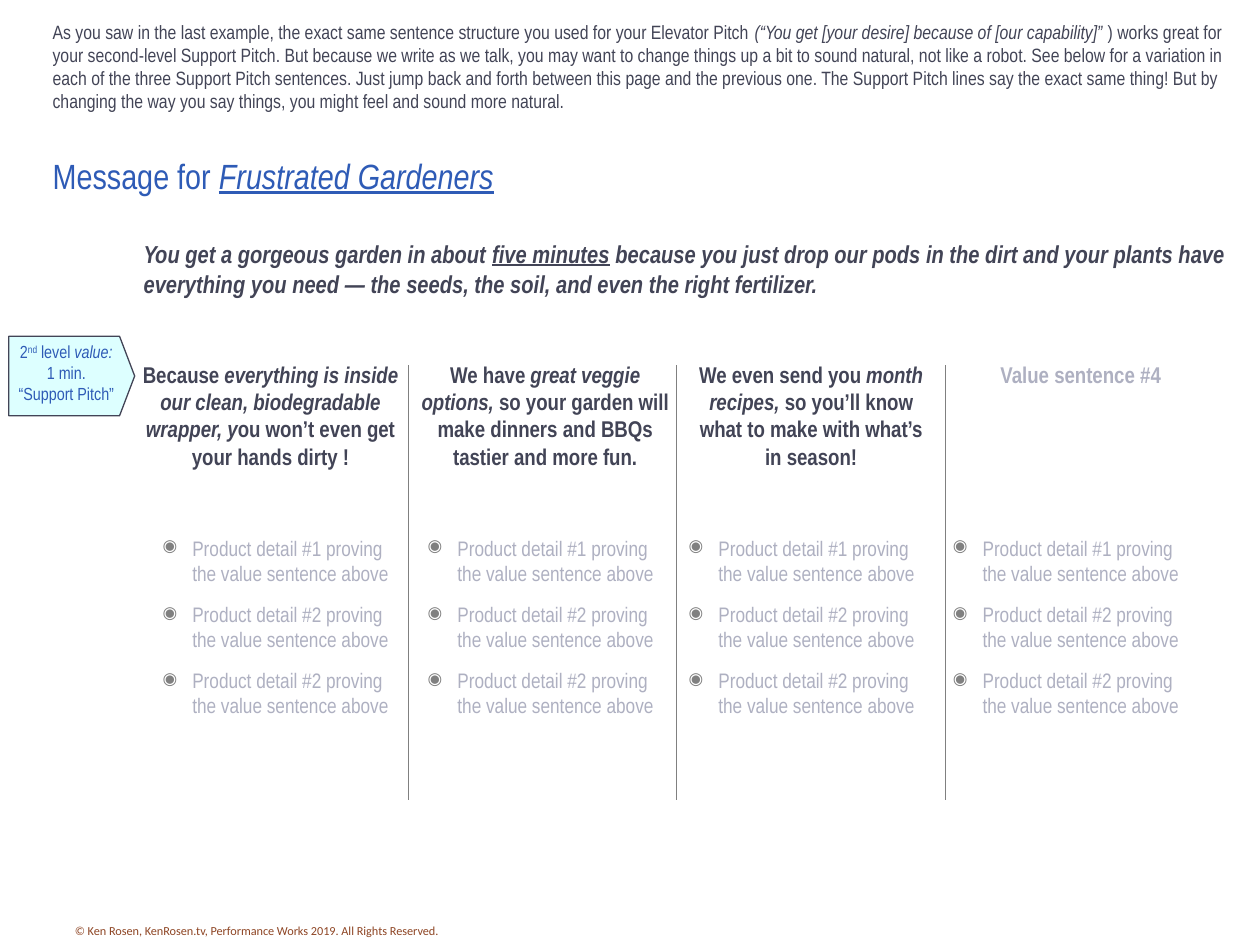
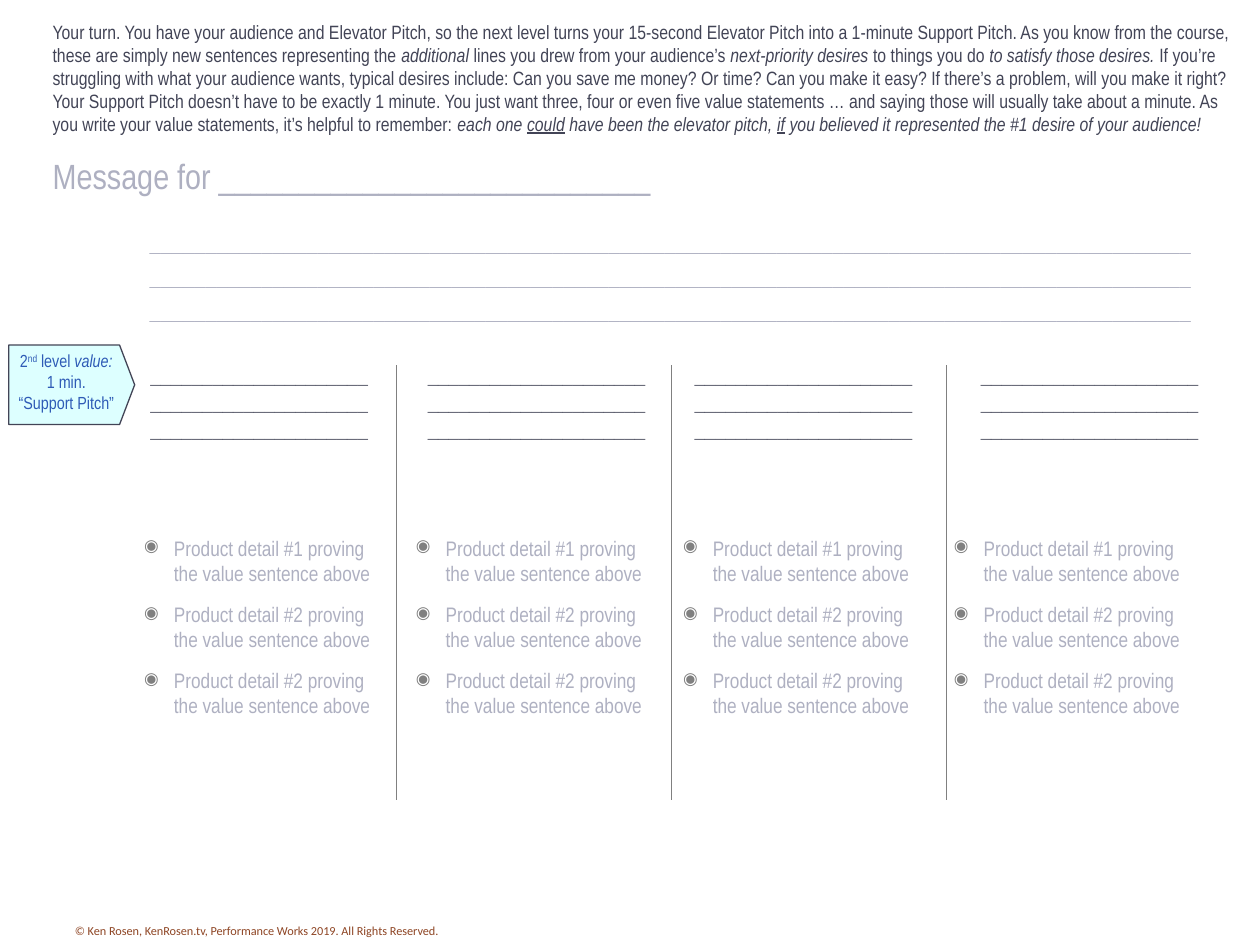
from lxml.etree import SubElement
from pptx import Presentation
from pptx.dml.color import RGBColor
from pptx.enum.shapes import MSO_CONNECTOR as Connector, MSO_SHAPE as Shape
from pptx.enum.text import MSO_ANCHOR as Anchor, MSO_AUTO_SIZE as AutoSize, PP_ALIGN as Align
from pptx.oxml.ns import qn
from pptx.util import Pt

# Colours
INK = RGBColor(0x42, 0x44, 0x56)
BLUE = RGBColor(0x2E, 0x5B, 0xB6)
PALE = RGBColor(0xAE, 0xB0, 0xC1)
GREY = RGBColor(0x80, 0x80, 0x80)
RUST = RGBColor(0x8E, 0x45, 0x24)
AQUA = RGBColor(0xDD, 0xFF, 0xFF)

# Font formats
NARROW = "Arial Narrow"
INTRO = {"name": NARROW, "size": Pt(11), "color": INK}
TITLE = {"name": NARROW, "size": Pt(20), "color": BLUE}
PITCH = {"name": NARROW, "size": Pt(14), "color": INK, "bold": True, "italic": True}
VALUE = {"name": NARROW, "size": Pt(13), "color": INK, "bold": True}
DETAIL = {"name": NARROW, "size": Pt(12), "color": PALE}
TAG = {"name": NARROW, "size": Pt(10), "color": BLUE}
FOOTER = {"name": "Calibri", "size": Pt(7), "color": RUST}

ITALIC = {"italic": True}
UNDERLINE = {"underline": True}
RAISED = {"raised": True}

# Shared wording
COPYRIGHT = "© Ken Rosen, KenRosen.tv, Performance Works 2019. All Rights Reserved."
TAG_LINES = [
    ["2", ("nd", RAISED), " level ", ("value:", ITALIC)],
    ["1 min."],
    ["“Support Pitch”"],
]
DETAIL_LINES = [[f"Product detail #{number} proving the value sentence above"]
                for number in (1, 2, 2)]

# Example page
EXAMPLE_INTRO = [
    "As you saw in the last example, the exact same sentence structure you used for your "
    "Elevator Pitch ",
    ("(“You get [your desire] because of [our capability]” ", ITALIC),
    ") works great for your second-level Support Pitch. But because we write as we talk, you "
    "may want to change things up a bit to sound natural, not like a robot. See below for a "
    "variation in each of the three Support Pitch sentences. Just jump back and forth between "
    "this page and the previous one. The Support Pitch lines say the exact same thing! But by "
    "changing the way you say things, you might feel and sound more natural.",
]
EXAMPLE_PITCH = [
    "You get a gorgeous garden in about ",
    ("five minutes", UNDERLINE),
    " because you just drop our pods in the dirt and your plants have everything you need — "
    "the seeds, the soil, and even the right fertilizer.",
]
# Each value: left, width, lines, format
EXAMPLE_VALUES = [
    (72, 165, [["Because ",
                ("everything is inside our clean, biodegradable wrapper, y", ITALIC),
                "ou won’t even get your hands dirty !"]], VALUE),
    (234, 155, [["We have ", ("great veggie options, ", ITALIC),
                 "so your garden will make dinners and BBQs tastier and more fun."]], VALUE),
    (387.5, 152, [["We even send you ", ("month recipes, ", ITALIC),
                   "so you’ll know what to make with what’s in season!"]], VALUE),
    (541.5, 152, [["Value sentence #4"]], VALUE | {"color": PALE}),
]

# Worksheet page
WORKSHEET_INTRO = [
    "Your turn. You have your audience and Elevator Pitch, so the next level turns your "
    "15-second Elevator Pitch into a 1-minute Support Pitch. As you know from the course, "
    "these are simply new sentences representing the ",
    ("additional", ITALIC),
    " lines you drew from your audience’s ",
    ("next-priority desires ", ITALIC),
    "to things you do ",
    ("to satisfy those desires.", ITALIC),
    " If you’re struggling with what your audience wants, typical desires include: Can you "
    "save me money? Or time? Can you make it easy? If there’s a problem, will you make it "
    "right? Your Support Pitch doesn’t have to be exactly 1 minute. You just want three, four "
    "or even five value statements … and saying those will usually take about a minute. As you "
    "write your value statements, it’s helpful to remember: ",
    ("each one ", ITALIC),
    ("could", ITALIC | UNDERLINE),
    (" have been the elevator pitch, ", ITALIC),
    ("if", ITALIC | UNDERLINE),
    (" you believed it represented the #1 desire of your audience!", ITALIC),
]
VALUE_BLANKS = [["_" * 21]] * 3
WORKSHEET_VALUES = [(left, width, VALUE_BLANKS, VALUE)
                    for left, width in ((70, 156), (222.5, 168), (375, 168), (538.5, 168))]


def add_span(para, text, look):
    """Add one run, formatted from a dict."""
    span = para.add_run()
    span.text = text
    for name, value in look.items():
        if name == "color":
            span.font.color.rgb = value
        elif name == "raised":
            span.font._element.set("baseline", "30000")
        else:
            setattr(span.font, name, value)


def add_text(page, left, top, width, height, lines, look, side=6.5, layout=None, frame=None):
    """Add a text box; each line is a list of strings or (string, extra format)."""
    box = page.shapes.add_textbox(Pt(left), Pt(top), Pt(width), Pt(height))
    settings = {"word_wrap": True, "auto_size": AutoSize.SHAPE_TO_FIT_TEXT,
                "margin_left": Pt(side), "margin_right": Pt(side)} | (frame or {})
    for name, value in settings.items():
        setattr(box.text_frame, name, value)
    for index, line in enumerate(lines):
        para = box.text_frame.add_paragraph() if index else box.text_frame.paragraphs[0]
        for name, value in (layout or {}).items():
            setattr(para, name, value)
        for part in line:
            text, extra = (part, {}) if isinstance(part, str) else part
            add_span(para, text, look | extra)
    return box


def add_bullet(para):
    """Give a paragraph a hanging grey bullet."""
    properties = para._p.get_or_add_pPr()
    properties.set("marL", str(Pt(17)))
    properties.set("indent", str(-Pt(17)))
    colour = SubElement(properties, qn("a:buClr"))
    SubElement(colour, qn("a:srgbClr"), val=str(GREY))
    SubElement(properties, qn("a:buSzPct"), val="80000")
    SubElement(properties, qn("a:buChar"), char="◉")


def add_details(page, left, width, height):
    box = add_text(page, left, 302.4, width, height, DETAIL_LINES, DETAIL)
    for index, para in enumerate(box.text_frame.paragraphs):
        add_bullet(para)
        para.level = 1
        if index:
            para.space_before = Pt(9)


def add_divider(page, x):
    line = page.shapes.add_connector(Connector.STRAIGHT, Pt(x), Pt(208.8), Pt(x), Pt(457.2))
    line.line.color.rgb = GREY
    line.line.width = Pt(0.5)
    SubElement(line._element.spPr, qn("a:effectLst"))


def add_tag(page, top):
    """Add the arrow-shaped label at the left edge."""
    plate = page.shapes.add_shape(Shape.PENTAGON, Pt(5), Pt(top), Pt(72), Pt(45.4))
    plate.adjustments[0] = 0.19
    plate.shadow.inherit = False
    plate.fill.solid()
    plate.fill.fore_color.rgb = AQUA
    plate.line.color.rgb = INK
    plate.line.width = Pt(0.75)
    add_text(page, 2.9, top - 0.7, 70, 44, TAG_LINES, TAG, 7.2,
             {"alignment": Align.CENTER}, {"word_wrap": False})


def add_frame(deck, intro, title, title_look):
    """Start a page with its footer, title and introduction."""
    page = deck.slides.add_slide(deck.slide_layouts[6])
    add_text(page, 31.7, 524.2, 230, 15.8, [[COPYRIGHT]], FOOTER, 7.2,
             {"alignment": Align.CENTER}, {"word_wrap": False})
    fixed = {"auto_size": AutoSize.NONE}
    add_text(page, 23, 74.2, 674, 52.6, [title], title_look, 7.2,
             frame=fixed | {"vertical_anchor": Anchor.MIDDLE})
    add_text(page, 23, 7.9, 688.3, 73.4, [intro], INTRO, 7.2, frame=fixed)
    return page


def add_columns(page, first_divider, step, values, detail_lefts, detail_size):
    """Add the dividers, the value sentences and the details under them."""
    for index in range(3):
        add_divider(page, first_divider + index * step)
    for left, width, lines, look in values:
        add_text(page, left, 202.3, width, 54 if len(lines) > 1 else 70, lines, look,
                 layout={"alignment": Align.CENTER})
    for left in detail_lefts:
        add_details(page, left, *detail_size)


def main():
    deck = Presentation()
    deck.slide_width, deck.slide_height = Pt(720), Pt(540)

    # Example
    page = add_frame(deck, EXAMPLE_INTRO,
                     ["Message for ", ("Frustrated Gardeners", ITALIC | UNDERLINE)], TITLE)
    add_text(page, 75.6, 133.2, 631.4, 41, [EXAMPLE_PITCH], PITCH)
    add_columns(page, 233.3, 153.5, EXAMPLE_VALUES, (86.4, 237.9, 387, 538), (146.2, 156.2))
    add_tag(page, 192.2)

    # Worksheet
    page = add_frame(deck, WORKSHEET_INTRO, ["Message for " + "_" * 27],
                     TITLE | {"color": PALE})
    add_columns(page, 226.8, 157, WORKSHEET_VALUES, (75.9, 231.2, 383.8, 538.6), (149.8, 112.3))
    add_text(page, 79.6, 126, 613.4, 64.8, [["_" * 93]] * 3, PITCH | {"color": PALE},
             layout={"space_after": Pt(2.6)})
    add_tag(page, 197.2)

    deck.save("out.pptx")


if __name__ == "__main__":
    main()
